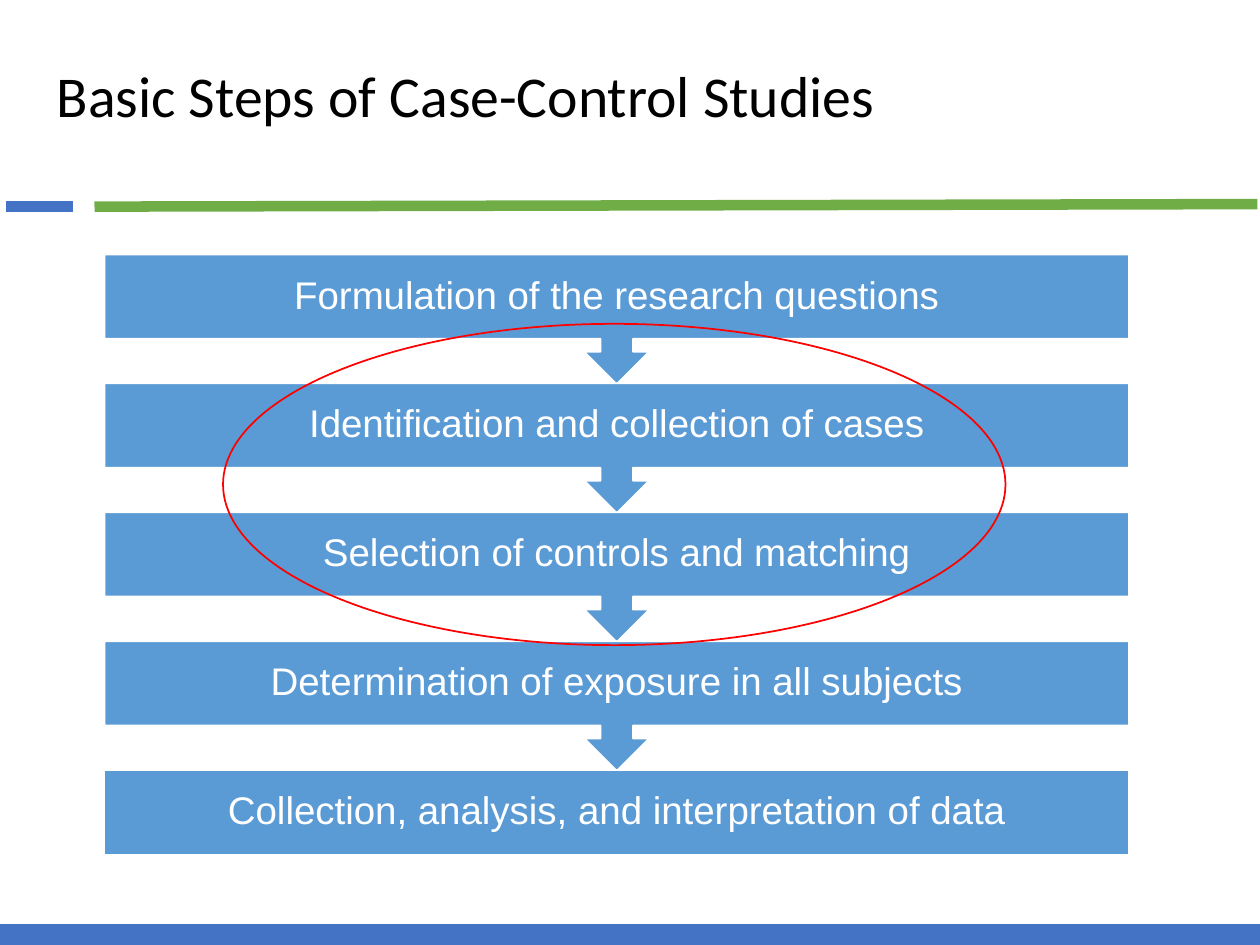
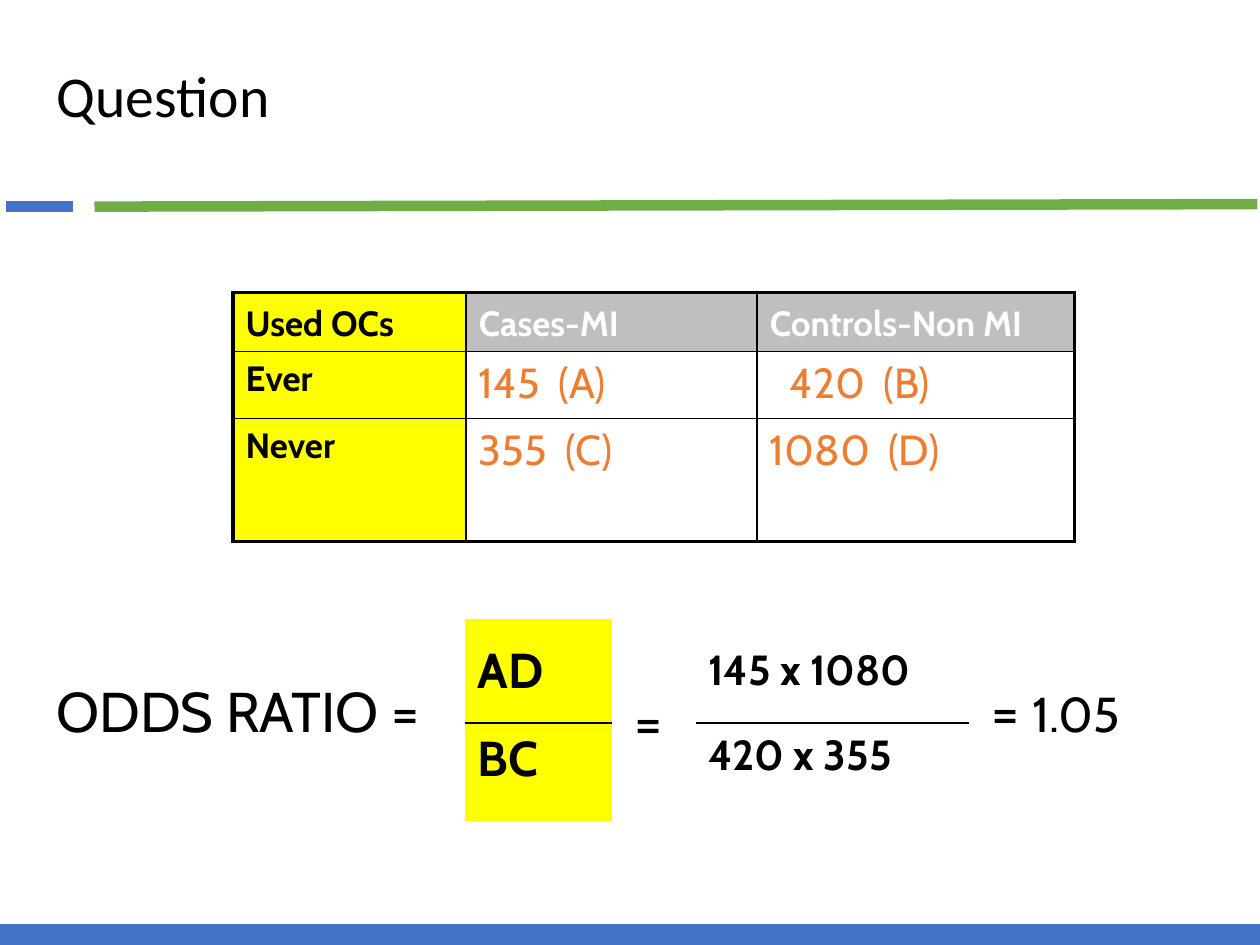
from lxml.etree import SubElement
from pptx import Presentation
from pptx.dml.color import RGBColor
from pptx.enum.shapes import MSO_CONNECTOR as Connector, MSO_SHAPE as Preset
from pptx.enum.text import MSO_ANCHOR as Anchor, MSO_AUTO_SIZE as AutoSize, PP_ALIGN as Align
from pptx.oxml.ns import qn
from pptx.oxml.xmlchemy import OxmlElement
from pptx.util import Inches, Pt

BLACK = RGBColor(0x00, 0x00, 0x00)
WHITE = RGBColor(0xFF, 0xFF, 0xFF)
BLUE = RGBColor(0x44, 0x72, 0xC4)
GREEN = RGBColor(0x70, 0xAD, 0x47)
STEP_BLUE = RGBColor(0x5B, 0x9B, 0xD5)
RED = RGBColor(0xFF, 0x00, 0x00)
YELLOW = RGBColor(0xFF, 0xFF, 0x00)
GREY = RGBColor(0xBF, 0xBF, 0xBF)
ORANGE = RGBColor(0xED, 0x7D, 0x31)

COLUMNS, ROWS = 100, 75
TITLE_FONT, STEP_FONT, BODY_FONT = "Calibri", "Arial", "Cabin"
TITLE_BOX = (3.5, 2.2, 95.5, 11.2)
RULES = [  # start, end, colour, points
    ((7.5, 16.4), (99.8, 16.2), GREEN, 6),
    ((0.5, 16.4), (5.8, 16.4), BLUE, 6),
    ((0, 74.2), (100, 74.2), BLUE, 12),
]
THIN, THICK = 1, 2.25
PLAIN_TABLE = "{2D5ABB26-0587-4C30-8999-92F81FD0307C}"


class Deck:
    """Holds the shared style and the slide being built."""

    def __init__(self):
        """Open a presentation and prepare its title-only layout."""
        self.presentation = Presentation()
        self.presentation.slide_width = Inches(10)
        self.presentation.slide_height = Inches(7.5)
        self.layout = self.presentation.slide_layouts[5]
        for placeholder in list(self.layout.placeholders)[1:]:
            placeholder.element.getparent().remove(placeholder.element)
        title = self.layout.placeholders[0]
        title.left, title.top, title.width, title.height = self.box(*TITLE_BOX)
        self.slide = None

    def x(self, columns):
        """Turn grid columns into a length."""
        return round(self.presentation.slide_width * columns / COLUMNS)

    def y(self, rows):
        """Turn grid rows into a length."""
        return round(self.presentation.slide_height * rows / ROWS)

    def box(self, left, top, width, height):
        """Turn a box on the grid into lengths."""
        return self.x(left), self.y(top), self.x(width), self.y(height)

    def new_slide(self, title):
        """Start a slide; the first one also gives the layout its rules."""
        first = self.slide is None
        self.slide = self.presentation.slides.add_slide(self.layout)
        if first:
            for rule in RULES:
                self.layout.shapes.element.append(self.line(*rule).element)
        frame = self.slide.shapes.title.text_frame
        frame.vertical_anchor = Anchor.MIDDLE
        frame.auto_size = AutoSize.NONE
        paragraph = frame.paragraphs[0]
        paragraph.alignment = Align.LEFT
        paragraph.line_spacing = 0.9
        self.run(paragraph, title, 33, font=TITLE_FONT)

    def run(self, paragraph, text, size, color=BLACK, bold=False, font=BODY_FONT):
        """Add one formatted run."""
        run = paragraph.add_run()
        run.text = text
        run.font.name, run.font.size, run.font.bold = font, Pt(size), bold
        run.font.color.rgb = color
        return run

    def line(self, start, end, color, points):
        """Draw a straight line without a shadow."""
        connector = self.slide.shapes.add_connector(
            Connector.STRAIGHT, self.x(start[0]), self.y(start[1]), self.x(end[0]), self.y(end[1]))
        connector.line.color.rgb = color
        connector.line.width = Pt(points)
        SubElement(connector.element.spPr, qn("a:effectLst"))
        return connector

    def shape(self, preset, box, fill, outline):
        """Draw a preset shape, left open when fill is None."""
        shape = self.slide.shapes.add_shape(preset, *self.box(*box))
        shape.shadow.inherit = False
        if fill is None:
            shape.fill.background()
        else:
            shape.fill.solid()
            shape.fill.fore_color.rgb = fill
        shape.line.color.rgb = outline
        shape.line.width = Pt(1)
        return shape

    def step(self, preset, box, text):
        """Draw one step of the flow with its label."""
        frame = self.shape(preset, box, STEP_BLUE, WHITE).text_frame
        frame.word_wrap = True
        frame.vertical_anchor = Anchor.MIDDLE
        frame.margin_left = frame.margin_right = self.x(1.7)
        frame.margin_top = frame.margin_bottom = self.y(1.7)
        paragraph = frame.paragraphs[0]
        paragraph.alignment = Align.CENTER
        paragraph.line_spacing = 0.9
        self.run(paragraph, text, 22, WHITE, font=STEP_FONT)

    def label(self, box, *runs):
        """Add a text box from (text, size) runs."""
        frame = self.slide.shapes.add_textbox(*self.box(*box)).text_frame
        frame.word_wrap = True
        for text, size in runs:
            self.run(frame.paragraphs[0], text, size)

    def table(self, left, top, widths, heights):
        """Add an unstyled table and return it with its XML cells by row."""
        frame = self.slide.shapes.add_table(
            len(heights), len(widths), *self.box(left, top, sum(widths), sum(heights)))
        table = frame.table
        table.first_row = table.horz_banding = False
        next(frame.element.iter(qn("a:tableStyleId"))).text = PLAIN_TABLE
        for column, width in zip(table.columns, widths):
            column.width = self.x(width)
        for row, height in zip(table.rows, heights):
            row.height = self.y(height)
        return table, [list(row.iter(qn("a:tc"))) for row in frame.element.iter(qn("a:tr"))]

    def cell(self, cell, fill, anchor):
        """Set a cell's fill and anchor and return its paragraph."""
        if fill is None:
            cell.fill.background()
        else:
            cell.fill.solid()
            cell.fill.fore_color.rgb = fill
        cell.vertical_anchor = anchor
        return cell.text_frame.paragraphs[0]

    def borders(self, xml_cell, **sides):
        """Give a cell black borders; sides are L, R, T, B in points."""
        properties = xml_cell.get_or_add_tcPr()
        present = [side for side in "LRTB" if side in sides]
        for position, side in enumerate(present):
            border = OxmlElement(f"a:ln{side}")
            border.set("w", str(Pt(sides[side])))
            fill = SubElement(border, qn("a:solidFill"))
            SubElement(fill, qn("a:srgbClr")).set("val", str(BLACK))
            properties.insert(position, border)

    def count(self, paragraph, number, letter):
        """Write a count and its cell letter, parted by one wide space."""
        self.run(paragraph, number, 24, ORANGE)
        gap = self.run(paragraph, " ", 24, ORANGE)
        gap.font.element.set("spc", "500") if hasattr(gap.font, "element") else \
            paragraph.runs[-1]._r.get_or_add_rPr().set("spc", "500")
        self.run(paragraph, f"({letter})", 24, ORANGE)

    def study_table(self, left, top, widths, heights, headings, records):
        """Add the case-control table with a thick frame and thin inner lines."""
        table, xml_rows = self.table(left, top, widths, heights)
        for column, heading in enumerate(headings):
            fill, color = (GREY, WHITE) if column else (YELLOW, BLACK)
            paragraph = self.cell(table.cell(0, column), fill, Anchor.BOTTOM)
            self.run(paragraph, heading, 20, color, bold=True)
        for row, (name, *counts) in enumerate(records, 1):
            paragraph = self.cell(table.cell(row, 0), YELLOW, Anchor.TOP)
            self.run(paragraph, name, 20, bold=True)
            for column, (number, letter) in enumerate(counts, 1):
                self.count(self.cell(table.cell(row, column), None, Anchor.TOP), number, letter)
        for row, xml_row in enumerate(xml_rows):
            for column, xml_cell in enumerate(xml_row):
                self.borders(
                    xml_cell,
                    L=THIN if column else THICK,
                    R=THIN if column < len(widths) - 1 else THICK,
                    T=THIN if row else THICK,
                    B=THIN if row < len(heights) - 1 else THICK)
        return table

    def fraction(self, left, width, parts, size, fill=None):
        """Add a two-row table whose middle border is a fraction bar."""
        table, xml_rows = self.table(left, 49.1, [width], [8.3, 7.8])
        for row, (text, anchor) in enumerate(zip(parts, (Anchor.MIDDLE, Anchor.TOP))):
            paragraph = self.cell(table.cell(row, 0), fill, anchor)
            self.run(paragraph, text, size, bold=True)
        self.borders(xml_rows[0][0], B=THIN)
        self.borders(xml_rows[1][0], T=THIN)


def build_steps(deck):
    """Build the flow of study steps."""
    deck.new_slide("Basic Steps of Case-Control Studies")
    steps = [
        "Formulation of the research questions",
        "Identification and collection of cases",
        "Selection of controls and matching",
        "Determination of exposure in all subjects",
        "Collection, analysis, and interpretation of data",
    ]
    left, top, width, pitch = 8.3, 20.2, 81.3, 10.23
    for index, text in enumerate(steps):
        last = index == len(steps) - 1
        preset, height = (Preset.RECTANGLE, 6.7) if last else (Preset.DOWN_ARROW_CALLOUT, 10.3)
        deck.step(preset, (left, top + index * pitch, width, height), text)
    deck.shape(Preset.OVAL, (17.7, 25.7, 62.1, 25.5), None, RED)


def build_question(deck):
    """Build the odds ratio question."""
    deck.new_slide("Question")
    deck.fraction(36.9, 11.7, ("AD", "BC"), 28, YELLOW)
    deck.fraction(55.2, 21.7, ("145 x 1080", "420 x 355"), 24)
    table = deck.study_table(
        18.5, 23.2, [18.5, 23.1, 25.2], [4.7, 5.3, 9.8],
        ["Used OCs", "Cases-MI", "Controls-Non MI"],
        [("Ever", ("145", "A"), ("420", "B")), ("Never", ("355", "C"), ("1080", "D"))])
    table.cell(1, 2).margin_left = deck.x(2.6)
    deck.label((3.5, 53.2, 35, 11.7), ("ODDS RATIO =", 32))
    deck.label((49.4, 54, 6.6, 6.3), ("=", 32))
    deck.label((77.7, 53.2, 15.3, 6.3), ("= ", 32), ("1.05", 28))


deck = Deck()
build_steps(deck)
build_question(deck)
deck.presentation.save("out.pptx")
